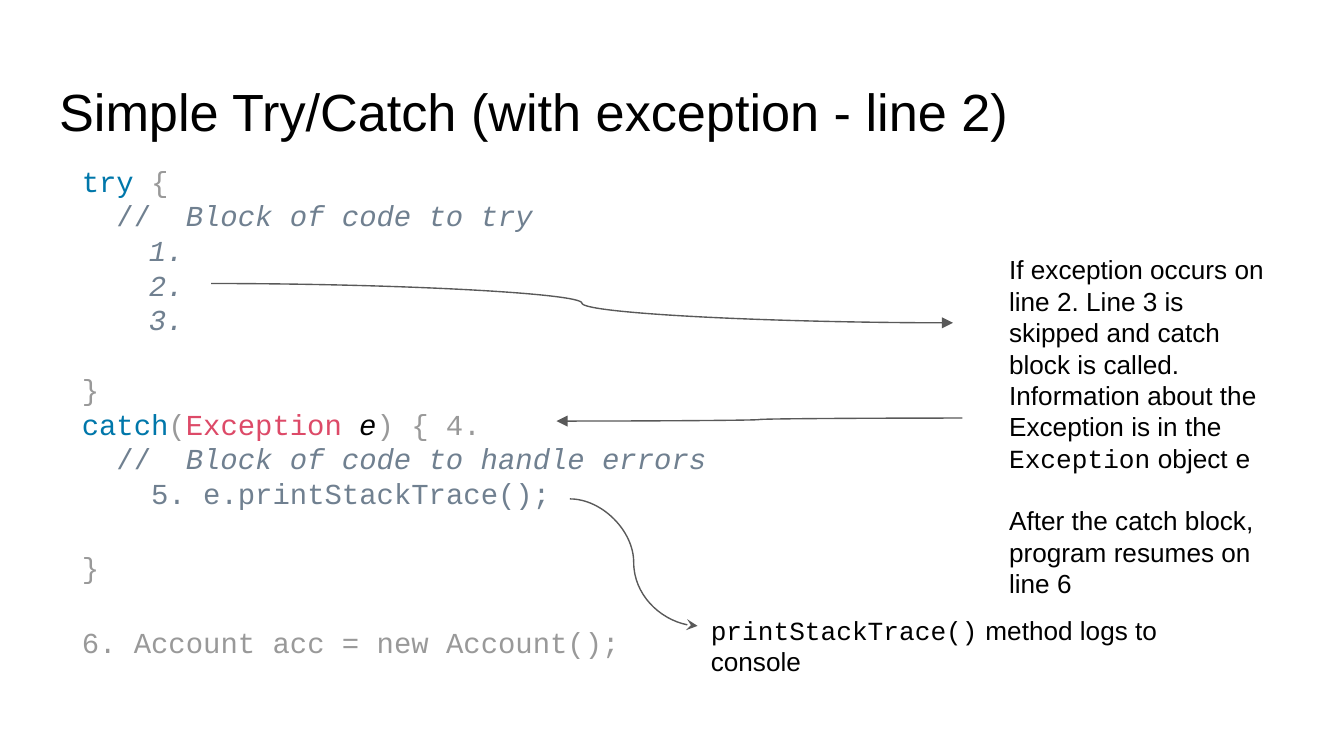
import pptx
import pptx.util
import pptx.dml.color
import pptx.enum.shapes
import pptx.enum.text
import pptx.oxml.ns
from dataclasses import dataclass
from lxml import etree

WIDTH = 10
HEIGHT = WIDTH * 9 / 16


@dataclass(frozen=True)
class Theme:
    sans: str = "Arial"
    mono: str = "Courier New"
    title_size: float = 28
    code_size: float = 15.5
    note_size: float = 14
    ink: str = "000000"
    keyword: str = "0077AA"
    punctuation: str = "999999"
    comment: str = "708090"
    type_name: str = "DD4A68"
    arrow: str = "595959"


THEME = Theme()


def share(left, top, width, height):
    """Turn shares of the slide into a box in slide units."""
    return [pptx.util.Inches(part * full) for part, full in
            zip((left, top, width, height), (WIDTH, HEIGHT) * 2)]


def color(value):
    return pptx.dml.color.RGBColor.from_string(value)


def set_frame(frame):
    frame.word_wrap = True
    frame.auto_size = pptx.enum.text.MSO_AUTO_SIZE.NONE
    frame.vertical_anchor = pptx.enum.text.MSO_ANCHOR.TOP
    for side in ("left", "top", "right", "bottom"):
        setattr(frame, f"margin_{side}", pptx.util.Inches(0.1))


def add_text_frame(slide, box):
    frame = slide.shapes.add_textbox(*box).text_frame
    set_frame(frame)
    return frame


def next_paragraph(frame, index):
    return frame.paragraphs[0] if index == 0 else frame.add_paragraph()


def add_title(slide, box, text):
    title = slide.shapes.title
    title.left, title.top, title.width, title.height = box
    set_frame(title.text_frame)
    title.text_frame.text = text
    paragraph = title.text_frame.paragraphs[0]
    paragraph.alignment = pptx.enum.text.PP_ALIGN.LEFT
    paragraph.font.name = THEME.sans
    paragraph.font.size = pptx.util.Pt(THEME.title_size)
    paragraph.font.color.rgb = color(THEME.ink)


def add_code(slide, box, lines):
    """Each line is (runs, paragraph format); a run is (text, color, italic)."""
    frame = add_text_frame(slide, box)
    for index, (runs, layout) in enumerate(lines):
        paragraph = next_paragraph(frame, index)
        paragraph.font.name = THEME.mono
        paragraph.font.size = pptx.util.Pt(THEME.code_size)
        for name in ("line_spacing", "space_before", "space_after"):
            if name in layout:
                setattr(paragraph, name, layout[name])
        if "indent" in layout:
            properties = paragraph.font._element.getparent()
            properties.set("marL", str(layout["indent"]))
            properties.set("indent", "0")
        for text, ink, italic in runs:
            for part_index, part in enumerate(text.split("\n")):
                if part_index:
                    paragraph.add_line_break()
                run = paragraph.add_run()
                run.text = part
                run.font.color.rgb = color(ink)
                run.font.italic = italic


def add_note(slide, box, paragraphs):
    """Each paragraph is a list of (text, font name)."""
    frame = add_text_frame(slide, box)
    for index, runs in enumerate(paragraphs):
        paragraph = next_paragraph(frame, index)
        paragraph.font.size = pptx.util.Pt(THEME.note_size)
        paragraph.font.color.rgb = color(THEME.ink)
        if index:
            paragraph.space_before = pptx.util.Pt(1.2 * THEME.note_size)
        for text, font_name in runs:
            run = paragraph.add_run()
            run.text = text
            run.font.name = font_name


def add_arrow(slide, start, end, head):
    """Draw a curved arrow between two points given as shares of the slide."""
    connector = slide.shapes.add_connector(
        pptx.enum.shapes.MSO_CONNECTOR.CURVE, *share(*start, *end))
    connector.line.color.rgb = color(THEME.arrow)
    connector.line.width = pptx.util.Pt(0.75)
    line = connector.line._get_or_add_ln()
    etree.SubElement(line, pptx.oxml.ns.qn("a:tailEnd"), type=head)
    etree.SubElement(connector._element.spPr, pptx.oxml.ns.qn("a:effectLst"))


def code_lines():
    blank_line = pptx.util.Pt(1.2 * THEME.code_size)
    gap = pptx.util.Pt(12)
    step = {"indent": pptx.util.Inches(0.5)}
    gray, slate = THEME.punctuation, THEME.comment
    return [
        ([("try ", THEME.keyword, False), ("{", gray, False)], {}),
        ([("  //  ", slate, False), ("Block of code to try", slate, True)], {}),
        *[([(f"{number}.", slate, True)], step) for number in (1, 2, 3)],
        ([("}", gray, False)], {"space_before": blank_line}),
        ([("catch", THEME.keyword, False), ("(", gray, False),
          ("Exception ", THEME.type_name, False), ("e", THEME.ink, True),
          (") { 4.", gray, False)], {}),
        ([("  //  ", slate, False),
          ("Block of code to handle errors", slate, True),
          ("\n    5. e.printStackTrace();", slate, False)], {}),
        ([("}", gray, False)], {"line_spacing": 1.5, "space_before": gap}),
        ([("6. Account acc = new Account();", gray, False)],
         {"line_spacing": 1.5, "space_before": gap, "space_after": gap}),
    ]


def build_slide(presentation):
    layout = presentation.slide_layouts.get_by_name("Title Only")
    slide = presentation.slides.add_slide(layout)
    add_title(slide, share(0.034, 0.087, 0.932, 0.112),
              "Simple Try/Catch (with exception - line 2)")
    add_code(slide, share(0.051, 0.198, 0.498, 0.665), code_lines())

    # Flow: line 2 to the note, the note to catch, line 5 to the console
    add_arrow(slide, (0.157, 0.375), (0.709, 0.427), "triangle")
    add_arrow(slide, (0.716, 0.553), (0.414, 0.557), "triangle")
    add_arrow(slide, (0.424, 0.66), (0.519, 0.828), "stealth")

    # Explanations
    add_note(slide, share(0.519, 0.795, 0.415, 0.068),
             [[("printStackTrace()", THEME.mono),
               (" method logs to console", THEME.sans)]])
    add_note(slide, share(0.741, 0.318, 0.212, 0.53), [
        [("If exception occurs on line 2. Line 3 is skipped and catch block "
          "is called.  Information about the Exception is in the ", THEME.sans),
         ("Exception", THEME.mono), (" object ", THEME.sans), ("e", THEME.mono)],
        [("After the catch block, program resumes on line 6", THEME.sans)],
    ])


def main():
    presentation = pptx.Presentation()
    presentation.slide_width = pptx.util.Inches(WIDTH)
    presentation.slide_height = pptx.util.Inches(HEIGHT)
    build_slide(presentation)
    presentation.save("out.pptx")


if __name__ == "__main__":
    main()
